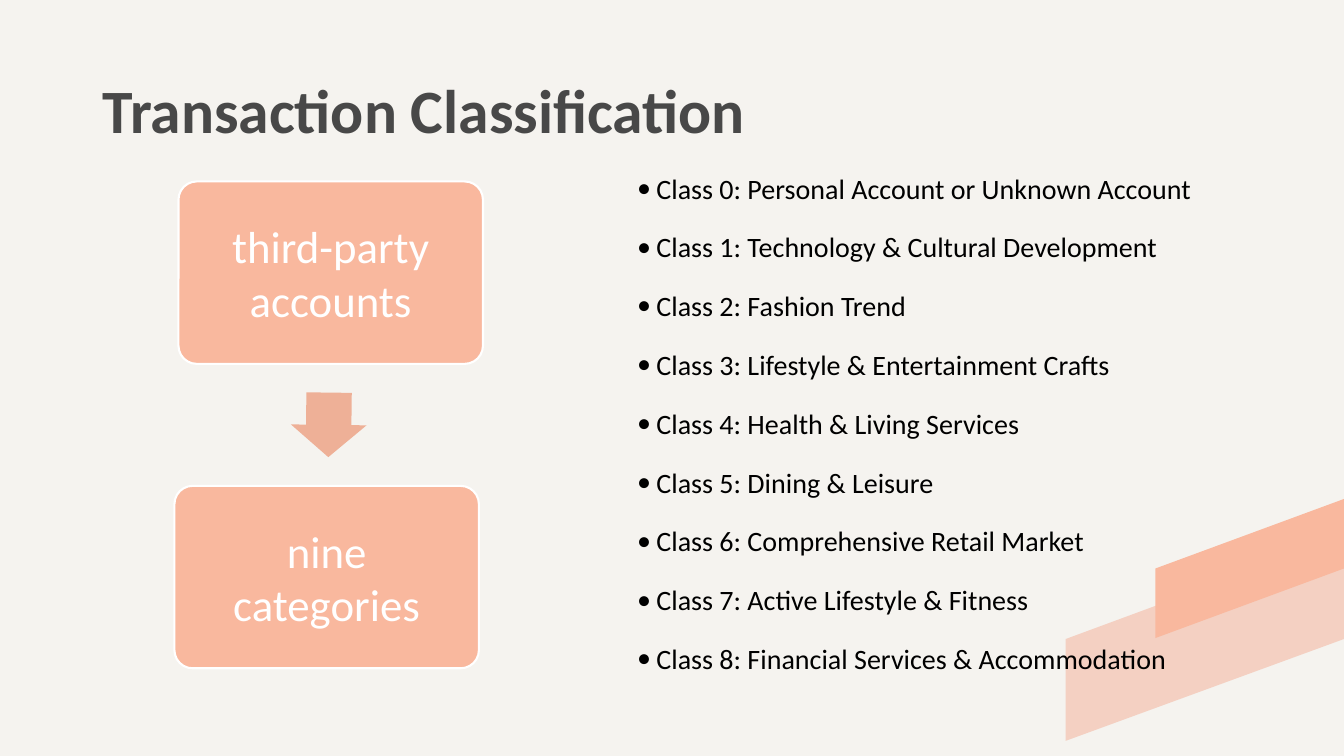
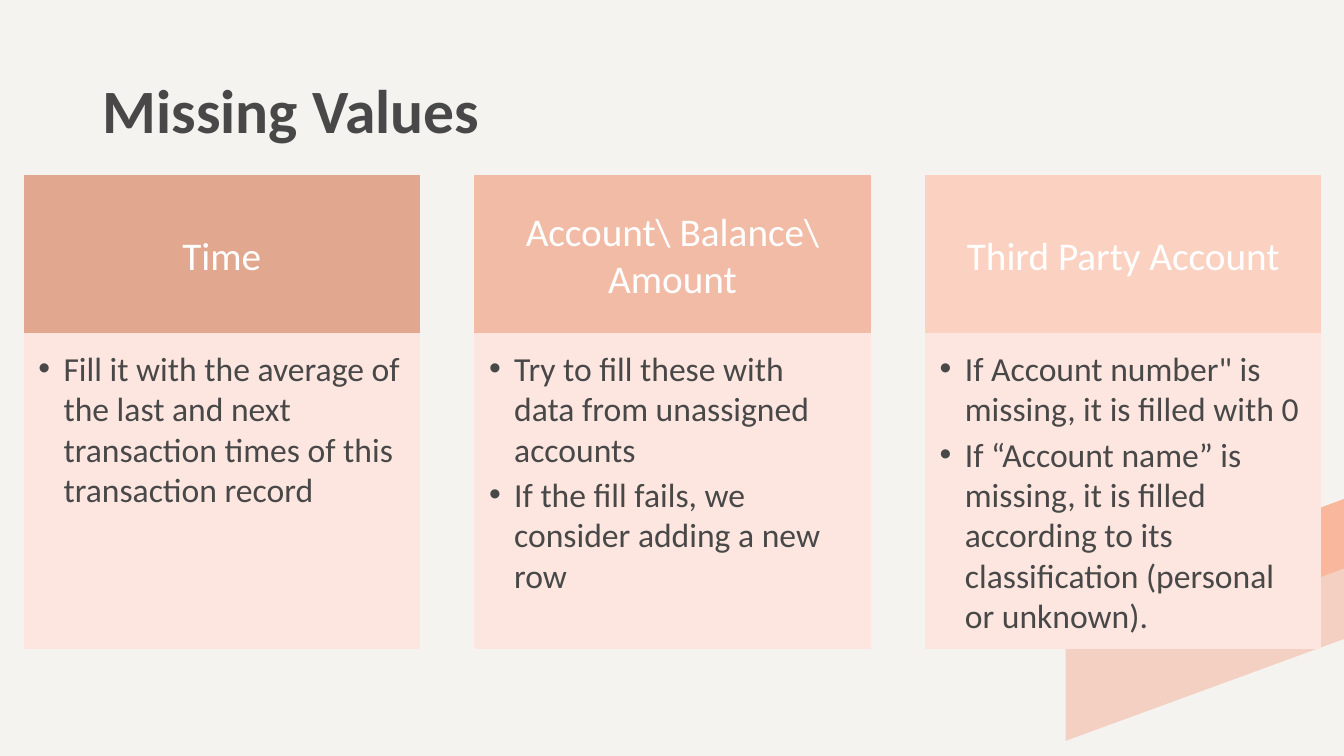
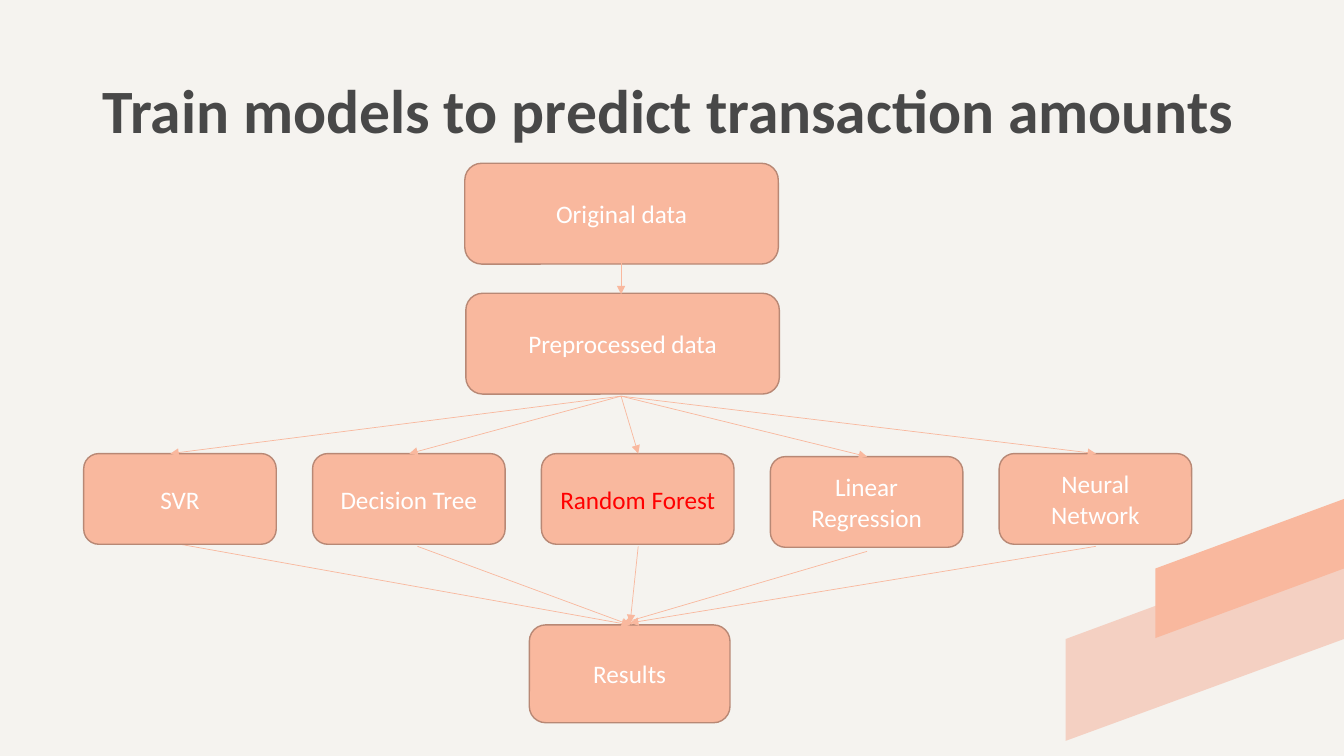
from dataclasses import dataclass, replace

from lxml import etree
from pptx import Presentation
from pptx import util as u
from pptx.dml import color as dml
from pptx.enum import shapes, text
from pptx.oxml import ns

PX = 9144
FONT = "Calibri"
COLORS = {
    "paper": "F5F3EF",
    "pale_band": "F4D0C2",
    "peach": "F9B89E",
    "outline": "B88875",
    "arrow": "EEB097",
    "ink": "484848",
    "black": "000000",
    "white": "FFFFFF",
    "red": "FF0000",
    "clay": "E2A78F",
    "apricot": "F1BBA6",
    "blush": "FBD2C2",
    "card": "FDE6DF",
}
BANDS = (
    ("pale_band", ((1333, 532), (1057, 634), (1057, 735), (1333, 634))),
    ("peach", ((1333, 495), (1146, 564), (1146, 633), (1333, 564))),
)


@dataclass(frozen=True)
class Rect:
    left: int
    top: int
    width: int
    height: int


@dataclass(frozen=True)
class TextStyle:
    size: int
    color: str
    bold: bool = False
    align: text.PP_ALIGN = text.PP_ALIGN.CENTER
    anchor: text.MSO_ANCHOR = text.MSO_ANCHOR.MIDDLE
    line_spacing: float = 1.0
    before: float = 0
    after: float = 0
    bullet_indent: int = 0
    bullet_font: str = FONT
    insets: tuple[int, int, int, int] = (10, 5, 10, 5)


@dataclass(frozen=True)
class BoxStyle:
    fill: str
    line: str
    line_width: float
    preset: shapes.MSO_SHAPE = shapes.MSO_SHAPE.ROUNDED_RECTANGLE
    corner: float | None = None


@dataclass(frozen=True)
class Card:
    heading: str
    color: str
    points: tuple[str, ...]


@dataclass(frozen=True)
class Model:
    lines: tuple[str, ...]
    top: int
    entry: int
    leave: tuple[int, int]
    goal: tuple[int, int]
    color: str = "white"


TITLE = TextStyle(44, "ink", bold=True, align=text.PP_ALIGN.LEFT, line_spacing=0.9)
CLASS_LIST = TextStyle(20, "black", align=text.PP_ALIGN.JUSTIFY, anchor=text.MSO_ANCHOR.TOP,
                       line_spacing=1.5, before=6, bullet_indent=19)
STAGE = TextStyle(32, "white", insets=(13, 13, 13, 13))
HEADING = TextStyle(28, "white", insets=(22, 12, 22, 12))
POINTS = TextStyle(24, "ink", align=text.PP_ALIGN.LEFT, anchor=text.MSO_ANCHOR.TOP, after=3.6,
                   bullet_indent=25, bullet_font="Arial", insets=(14, 14, 19, 21))
NODE = TextStyle(18, "white")

STAGE_BOX = BoxStyle("peach", "white", 1.5, corner=0.1)
NODE_BOX = BoxStyle("peach", "outline", 1)

CLASSES = (
    "Personal Account or Unknown Account",
    "Technology & Cultural Development",
    "Fashion Trend",
    "Lifestyle & Entertainment Crafts",
    "Health & Living Services",
    "Dining & Leisure",
    "Comprehensive Retail Market",
    "Active Lifestyle & Fitness",
    "Financial Services & Accommodation",
)
CARDS = (
    Card("Time", "clay",
         ("Fill it with the average of the last and next transaction times of this "
          "transaction record",)),
    Card("Account\\ Balance\\ Amount", "apricot",
         ("Try to fill these with data from unassigned accounts",
          "If the fill fails, we consider adding a new row")),
    Card("Third Party Account", "blush",
         ('If Account number" is missing, it is filled with 0',
          "If “Account name” is missing, it is filled according to its classification "
          "(personal or unknown).")),
)
MODELS = (
    Model(("SVR",), 450, 169, (179, 540), (625, 620)),
    Model(("Decision Tree",), 450, 406, (414, 542), (625, 620)),
    Model(("Random Forest",), 450, 633, (633, 542), (625, 618), "red"),
    Model(("Linear", "Regression"), 453, 860, (860, 547), (618, 618)),
    Model(("Neural", "Network"), 450, 1087, (1087, 542), (625, 618)),
)


def px(value: int) -> u.Emu:
    return u.Emu(value * PX)


def rgb(name: str) -> dml.RGBColor:
    return dml.RGBColor.from_string(COLORS[name])


def place(box, rect: Rect) -> None:
    box.left, box.top = px(rect.left), px(rect.top)
    box.width, box.height = px(rect.width), px(rect.height)


def add_bullet(para, indent: int, font: str) -> None:
    properties = para._p.get_or_add_pPr()
    properties.set("marL", str(px(indent)))
    properties.set("indent", str(-px(indent)))
    etree.SubElement(properties, ns.qn("a:buFont")).set("typeface", font)
    etree.SubElement(properties, ns.qn("a:buChar")).set("char", "•")


def write(box, lines: tuple[str, ...], style: TextStyle) -> None:
    frame = box.text_frame
    frame.word_wrap = True
    frame.auto_size = text.MSO_AUTO_SIZE.NONE
    frame.vertical_anchor = style.anchor
    (frame.margin_left, frame.margin_top,
     frame.margin_right, frame.margin_bottom) = map(px, style.insets)
    for index, line in enumerate(lines):
        para = frame.add_paragraph() if index else frame.paragraphs[0]
        para.alignment = style.align
        para.line_spacing = style.line_spacing
        para.space_before = u.Pt(style.before)
        para.space_after = u.Pt(style.after)
        if style.bullet_indent:
            add_bullet(para, style.bullet_indent, style.bullet_font)
        span = para.add_run()
        span.text = line
        span.font.name = FONT
        span.font.size = u.Pt(style.size)
        span.font.bold = style.bold
        span.font.color.rgb = rgb(style.color)


def paint(box, fill: str) -> None:
    box.shadow.inherit = False
    box.fill.solid()
    box.fill.fore_color.rgb = rgb(fill)
    box.line.fill.background()


def add_box(page, rect: Rect, look: BoxStyle, lines: tuple[str, ...], style: TextStyle) -> None:
    box = page.shapes.add_shape(look.preset, 0, 0, 0, 0)
    place(box, rect)
    paint(box, look.fill)
    box.line.color.rgb = rgb(look.line)
    box.line.width = u.Pt(look.line_width)
    if look.corner is not None:
        box.adjustments[0] = look.corner
    write(box, lines, style)


def add_arrow(page, start: tuple[int, int], end: tuple[int, int]) -> None:
    arrow = page.shapes.add_connector(shapes.MSO_CONNECTOR.STRAIGHT, *map(px, start + end))
    arrow.line.color.rgb = rgb("peach")
    arrow.line.width = u.Pt(0.5)
    outline = arrow.element.xpath(".//a:ln")[0]
    etree.SubElement(outline, ns.qn("a:tailEnd")).set("type", "triangle")
    etree.SubElement(outline.getparent(), ns.qn("a:effectLst"))


def style_master(deck, page) -> None:
    master = deck.slide_master
    master.background.fill.solid()
    master.background.fill.fore_color.rgb = rgb("paper")
    for number, (fill, corners) in enumerate(BANDS, 101):
        builder = page.shapes.build_freeform(*corners[0], scale=float(PX))
        builder.add_line_segments(corners[1:], close=True)
        band = builder.convert_to_shape()
        paint(band, fill)
        band.element.xpath("./p:nvSpPr/p:cNvPr")[0].set("id", str(number))
        master.shapes.element.append(band.element)


def add_page(deck, layout: int, title: str):
    page = deck.slides.add_slide(deck.slide_layouts[layout])
    place(page.shapes.title, Rect(92, 40, 1150, 145))
    write(page.shapes.title, (title,), TITLE)
    return page


def add_classification(deck):
    page = add_page(deck, 1, "Transaction Classification")
    add_box(page, Rect(177, 180, 302, 181), STAGE_BOX, ("third-party accounts",), STAGE)
    arrow = page.shapes.add_shape(shapes.MSO_SHAPE.RIGHT_ARROW, 0, 0, 0, 0)
    place(arrow, Rect(294, 384, 64, 75))
    paint(arrow, "arrow")
    arrow.rotation = 90.7
    arrow.adjustments[0] = 0.6
    arrow.adjustments[1] = 0.5
    add_box(page, Rect(173, 482, 302, 181), STAGE_BOX, ("nine categories",), STAGE)
    body = page.placeholders[1]
    place(body, Rect(622, 148, 590, 547))
    write(body, tuple(f"Class {n}: {name}" for n, name in enumerate(CLASSES)), CLASS_LIST)
    return page


def add_missing_values(deck) -> None:
    page = add_page(deck, 5, "Missing Values")
    for index, card in enumerate(CARDS):
        left = 24 + 447 * index
        parts = (
            (Rect(left, 174, 392, 157), card.color, (card.heading,), HEADING),
            (Rect(left, 331, 392, 312), "card", card.points, POINTS),
        )
        for rect, color, lines, style in parts:
            look = BoxStyle(color, color, 1, shapes.MSO_SHAPE.RECTANGLE)
            add_box(page, rect, look, lines, style)


def add_models(deck) -> None:
    page = add_page(deck, 5, "Train models to predict transaction amounts")
    add_box(page, Rect(525, 620, 199, 97), NODE_BOX, ("Results",), NODE)
    for model in MODELS:
        add_arrow(page, model.leave, model.goal)
    add_box(page, Rect(462, 291, 311, 100), NODE_BOX, ("Preprocessed data",), NODE)
    for index, model in enumerate(MODELS):
        rect = Rect(83 + 227 * index, model.top, 191, 90)
        add_box(page, rect, NODE_BOX, model.lines, replace(NODE, color=model.color))
    add_box(page, Rect(461, 162, 311, 100), NODE_BOX, ("Original data",), NODE)
    add_arrow(page, (616, 250), (616, 292))
    for model in MODELS:
        add_arrow(page, (616, 393), (model.entry, model.top))


def main() -> None:
    deck = Presentation()
    deck.slide_width, deck.slide_height = px(1333), px(750)
    first_page = add_classification(deck)
    style_master(deck, first_page)
    add_missing_values(deck)
    add_models(deck)
    deck.save("out.pptx")


if __name__ == "__main__":
    main()
